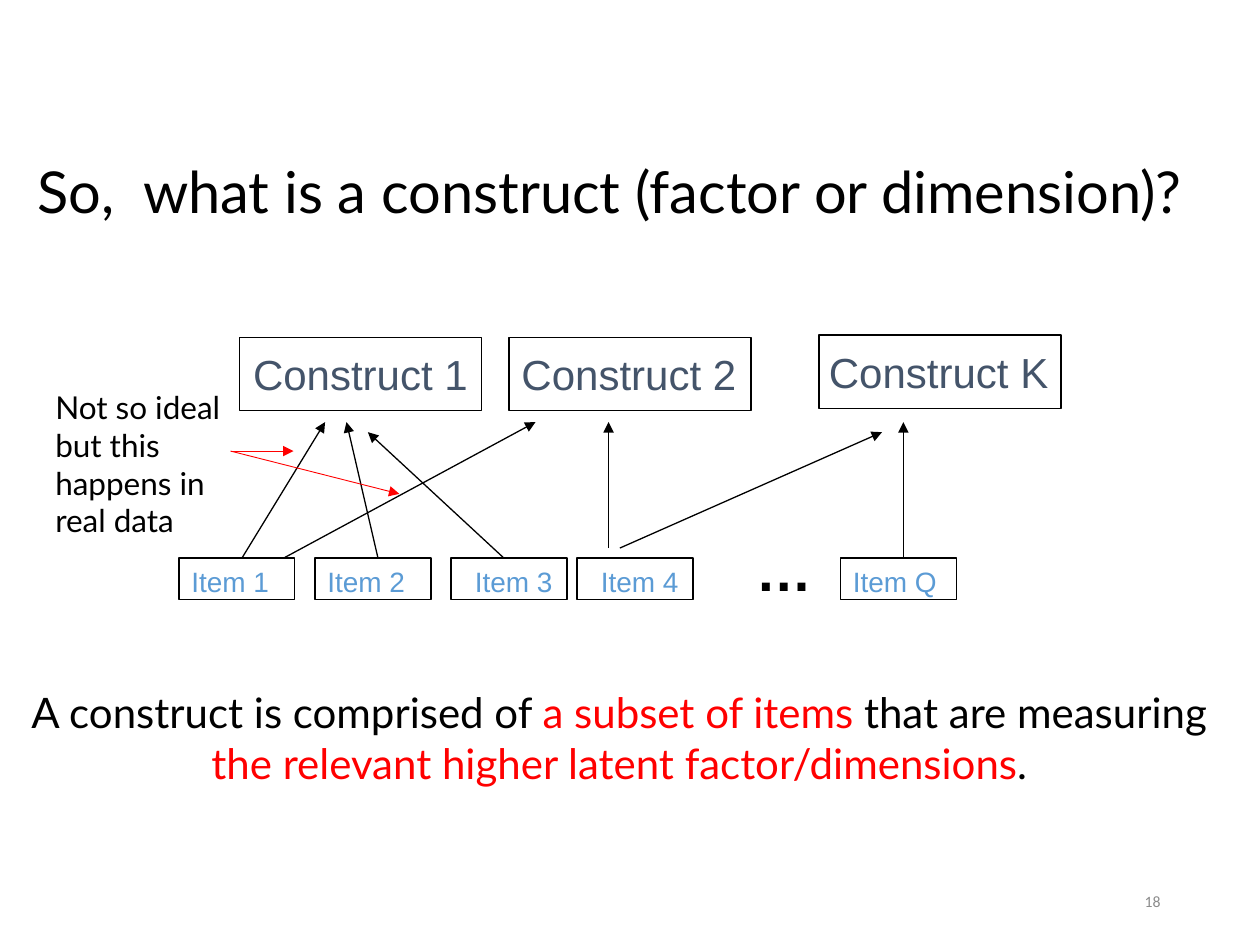
from dataclasses import dataclass
from lxml.etree import SubElement
from pptx import Presentation
from pptx.dml.color import RGBColor
from pptx.enum.shapes import MSO_CONNECTOR as Connector, MSO_SHAPE as Shape
from pptx.enum.text import MSO_ANCHOR as Anchor, MSO_AUTO_SIZE as AutoSize, PP_ALIGN as Align
from pptx.oxml.ns import qn
from pptx.util import Inches, Pt


@dataclass(frozen=True)
class Theme:
    black: str = "000000"
    red: str = "FF0000"
    slate: str = "44546A"
    blue: str = "5B9BD5"
    gray: str = "8C8C8C"
    text_font: str = "Lato"
    diagram_font: str = "Arial"
    number_font: str = "Calibri"
    title_size: int = 33
    ellipsis_size: int = 32
    large_size: int = 24
    note_size: int = 18
    item_size: int = 16
    number_size: int = 9
    thin: float = 0.5
    line: float = 0.75


THEME = Theme()

TITLE = "So,  what is a construct (factor or dimension)?"
NOTE = "Not so ideal but this happens in real data"
DEFINITION = [
    ("A construct is comprised of ", THEME.black),
    ("a subset of items", THEME.red),
    (" that are measuring ", THEME.black),
    ("the relevant higher latent factor/dimensions", THEME.red),
    (".", THEME.black),
]
CONSTRUCTS = [
    ("Construct 1", 1.9, 2.68, 1.91),
    ("Construct 2", 4.04, 2.68, 4.04),
    ("Construct K", 6.5, 2.66, 6.48),
]
ITEMS = [
    ("Item 1", 1.42, 0),
    ("Item 2", 2.5, 0),
    ("Item 3", 3.58, 0.09),
    ("Item 4", 4.58, 0.09),
    ("Item Q", 6.67, 0),
]
CONSTRUCT_SIZE = (1.92, 0.58)
ITEM_SIZE = (0.92, 0.33)
ITEM_TOP = 4.43
ARROW_TOP = 3.35
LOADINGS = [
    (1.92, ITEM_TOP, 2.58, ARROW_TOP),
    (3, ITEM_TOP, 2.75, ARROW_TOP),
    (4, ITEM_TOP, 2.92, 3.43),
    (2.25, ITEM_TOP, 4.25, ARROW_TOP),
    (4.83, 4.35, 4.83, ARROW_TOP),
    (4.92, 4.35, 7, 3.43),
    (7.17, ITEM_TOP, 7.17, ARROW_TOP),
]
NOTE_ARROWS = [(1.83, 3.58, 2.33, 3.58), (1.83, 3.58, 3.17, 3.92)]


def apply(target, values):
    for name, value in values.items():
        setattr(target, name, value)


def write(shape, runs, font, size, bold=False, align=Align.LEFT, anchor=Anchor.TOP, wrap=True):
    frame = shape.text_frame
    apply(frame, {"auto_size": AutoSize.NONE, "word_wrap": wrap, "vertical_anchor": anchor})
    paragraph = frame.paragraphs[0]
    paragraph.alignment = align
    for text, color in runs:
        run = paragraph.add_run()
        run.text = text
        apply(run.font, {"name": font, "size": Pt(size), "bold": bold})
        run.font.color.rgb = RGBColor.from_string(color)
    return paragraph


def add_text(slide, box, runs, font, size, **options):
    shape = slide.shapes.add_textbox(*map(Inches, box))
    return write(shape, runs, font, size, **options)


def add_box(slide, left, top, size):
    shape = slide.shapes.add_shape(Shape.RECTANGLE, *map(Inches, (left, top, *size)))
    shape.shadow.inherit = False
    shape.fill.background()
    shape.line.color.rgb = RGBColor.from_string(THEME.black)
    shape.line.width = Pt(THEME.line)


def add_arrow(slide, ends, color, width):
    arrow = slide.shapes.add_connector(Connector.STRAIGHT, *map(Inches, ends))
    arrow.line.color.rgb = RGBColor.from_string(color)
    arrow.line.width = Pt(width)
    properties = arrow.element.spPr
    SubElement(properties.find(qn("a:ln")), qn("a:tailEnd"), type="triangle")
    SubElement(properties, qn("a:effectLst"))


presentation = Presentation()
apply(presentation, {"slide_width": Inches(10), "slide_height": Inches(7.5)})
slide = presentation.slides.add_slide(presentation.slide_layouts[5])

title = slide.shapes.title
apply(title, {"left": Inches(0.2), "top": Inches(0.82), "width": Inches(9.58), "height": Inches(1.45)})
heading = write(title, [(TITLE, THEME.black)], THEME.text_font, THEME.title_size, anchor=Anchor.MIDDLE)
heading.line_spacing = 0.9

for label, left, top, text_left in CONSTRUCTS:
    add_box(slide, left, top, CONSTRUCT_SIZE)
    add_text(slide, (text_left, top + 0.04, 1.92, 0.5), [(label, THEME.slate)],
             THEME.diagram_font, THEME.large_size, wrap=False)

for label, left, indent in ITEMS:
    add_box(slide, left, ITEM_TOP, ITEM_SIZE)
    add_text(slide, (left + indent, ITEM_TOP, 0.98, 0.37), [(label, THEME.blue)],
             THEME.diagram_font, THEME.item_size)

add_text(slide, (5.9, 4.2, 0.77, 0.63), [("… ", THEME.black)],
         THEME.diagram_font, THEME.ellipsis_size, bold=True, wrap=False)

for ends in LOADINGS:
    add_arrow(slide, ends, THEME.black, THEME.line)
for ends in NOTE_ARROWS:
    add_arrow(slide, ends, THEME.red, THEME.thin)

add_text(slide, (0.34, 3.03, 1.59, 1.31), [(NOTE, THEME.black)], THEME.text_font, THEME.note_size)
add_text(slide, (0, 5.4, 9.83, 0.91), DEFINITION, THEME.text_font, THEME.large_size, align=Align.CENTER)
add_text(slide, (7.06, 6.95, 2.25, 0.4), [("18", THEME.gray)], THEME.number_font, THEME.number_size,
         align=Align.RIGHT, anchor=Anchor.MIDDLE)

presentation.save("out.pptx")
